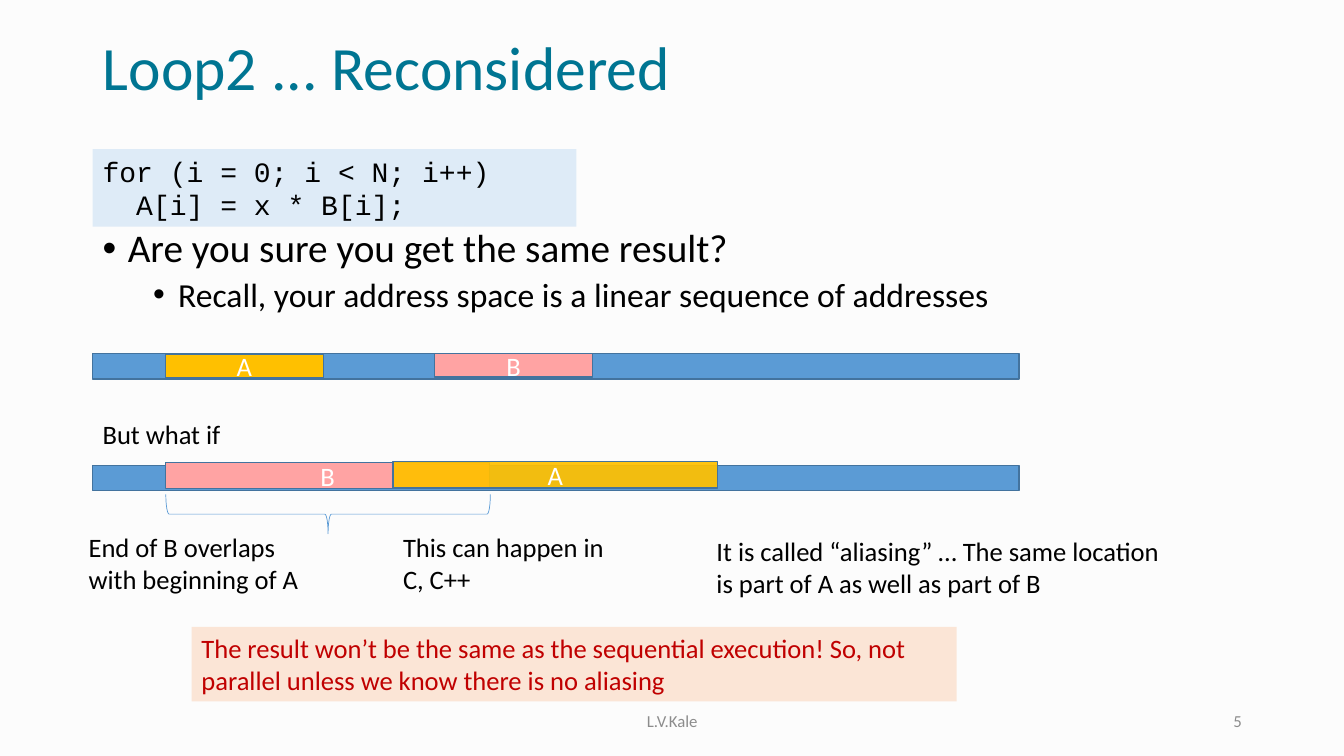
from lxml import etree
from pptx import Presentation
from pptx.dml.color import RGBColor
from pptx.enum.shapes import MSO_SHAPE
from pptx.enum.text import MSO_ANCHOR, MSO_AUTO_SIZE, PP_ALIGN
from pptx.oxml.ns import qn
from pptx.util import Pt

RECTANGLE, LEFT_BRACE = MSO_SHAPE.RECTANGLE, MSO_SHAPE.LEFT_BRACE
TOP, MIDDLE = MSO_ANCHOR.TOP, MSO_ANCHOR.MIDDLE
LEFT, CENTER, RIGHT = PP_ALIGN.LEFT, PP_ALIGN.CENTER, PP_ALIGN.RIGHT
NO_AUTOFIT = MSO_AUTO_SIZE.NONE

BACKGROUND = RGBColor(0xFC, 0xFC, 0xFC)
TEAL = RGBColor(0x00, 0x75, 0x92)
BLACK = RGBColor(0x00, 0x00, 0x00)
WHITE = RGBColor(0xFF, 0xFF, 0xFF)
GRAY = RGBColor(0x8C, 0x8C, 0x8C)
RED = RGBColor(0xC0, 0x00, 0x00)
PALE_BLUE = RGBColor(0xDE, 0xEB, 0xF7)
PALE_ORANGE = RGBColor(0xFB, 0xE5, 0xD6)
BLUE = RGBColor(0x5B, 0x9B, 0xD5)
DARK_BLUE = RGBColor(0x43, 0x73, 0x9E)
AMBER = RGBColor(0xFF, 0xC0, 0x00)
PINK = RGBColor(0xFF, 0xA3, 0xA3)

MARGIN = 66.24
MEMORY_WIDTH, MEMORY_HEIGHT = 661.7, 18
FIRST_ARRAY = 118.1


def points(*lengths):
    return [Pt(length) for length in lengths]


def write(shape, text, size, color, font="Calibri", align=LEFT, anchor=TOP):
    frame = shape.text_frame
    frame.text = text
    frame.word_wrap = True
    frame.auto_size = NO_AUTOFIT
    frame.vertical_anchor = anchor
    for para in frame.paragraphs:
        para.alignment = align
        for span in para.runs:
            span.font.size = Pt(size)
            span.font.name = font
            span.font.color.rgb = color


def add_title(page, text):
    title = page.shapes.title
    title.left, title.top, title.width, title.height = points(MARGIN, 20.2, 828, 60.5)
    write(title, text, 44, TEAL, anchor=MIDDLE)
    title.text_frame.paragraphs[0].line_spacing = 0.9


def add_label(page, area, text, size=19, color=BLACK, **style):
    box = page.shapes.add_textbox(*points(*area))
    write(box, text, size, color, **style)
    return box


def add_panel(page, area, text, fill, **style):
    box = add_label(page, area, text, **style)
    box.fill.solid()
    box.fill.fore_color.rgb = fill


def add_bullets(page, area, items):
    box = add_label(page, area, "\n".join(text for text, _, _ in items))
    for level, (para, (_, size, before)) in enumerate(zip(box.text_frame.paragraphs, items)):
        para.level = level
        para.line_spacing = 0.9
        para.space_before = Pt(before)
        para.runs[0].font.size = Pt(size)
        properties = para._p.get_or_add_pPr()
        properties.set("marL", str(Pt(18 + 36 * level)))
        properties.set("indent", str(Pt(-18)))
        etree.SubElement(properties, qn("a:buFont")).set("typeface", "Arial")
        etree.SubElement(properties, qn("a:buChar")).set("char", "•")


def add_bar(page, left, top, width, height, fill):
    bar = page.shapes.add_shape(RECTANGLE, *points(left, top, width, height))
    bar.shadow.inherit = False
    bar.fill.solid()
    bar.fill.fore_color.rgb = fill
    bar.line.color.rgb = DARK_BLUE
    bar.line.width = Pt(1)
    return bar


def add_memory(page, top):
    add_bar(page, MARGIN, top, MEMORY_WIDTH, MEMORY_HEIGHT, BLUE)


def add_array(page, name, left, top, width, height, fill, opacity=100):
    bar = add_bar(page, left, top, width, height, fill)
    write(bar, name, 19, WHITE, align=CENTER, anchor=MIDDLE)
    if opacity < 100:
        color = bar.fill._xPr.find(qn("a:solidFill"))[0]
        etree.SubElement(color, qn("a:alpha")).set("val", str(opacity * 1000))


def add_brace(page, left, top, width, height):
    brace = page.shapes.add_shape(LEFT_BRACE, *points(left, top, width, height))
    brace.rotation = 270
    brace.shadow.inherit = False
    brace.fill.background()
    brace.line.color.rgb = BLUE
    brace.line.width = Pt(0.5)


def main():
    deck = Presentation()
    deck.slide_width, deck.slide_height = points(960, 540)
    page = deck.slides.add_slide(deck.slide_layouts[5])
    page.background.fill.solid()
    page.background.fill.fore_color.rgb = BACKGROUND

    add_title(page, "Loop2 ... Reconsidered")
    add_bullets(page, (MARGIN, 159.8, 828, 77.8), [
        ("Are you sure you get the same result?", 28, 0),
        ("Recall, your address space is a linear sequence of addresses", 24, 5),
    ])
    add_panel(page, (MARGIN, 106.6, 345.6, 55.4),
              "for (i = 0; i < N; i++)\n  A[i] = x * B[i];",
              PALE_BLUE, size=20, font="Courier New")

    add_memory(page, 252.7)
    add_array(page, "A", FIRST_ARRAY, 253.4, 113, 16.6, AMBER)
    add_array(page, "B", 310.3, 252.7, 113, 16.6, PINK)

    add_label(page, (MARGIN, 295.2, 194.4, 30.2), "But what if")
    add_memory(page, 332.6)
    add_array(page, "B", FIRST_ARRAY, 330.5, 231.8, 18.7, PINK)
    add_array(page, "A", 280.8, 329.8, 231.8, 18.7, AMBER, opacity=92)
    add_brace(page, 220.3, 251.3, 28.1, 231.8)

    add_label(page, (56.2, 375.8, 178.6, 53.3), "End of B overlaps with beginning of A")
    add_label(page, (280.8, 375.8, 171.4, 53.3), "This can happen in C, C++")
    add_label(page, (504.7, 378.7, 342.7, 53.3),
              "It is called “aliasing” … The same location is part of A as well as part of B")
    add_panel(page, (136.8, 447.8, 546.5, 53.3),
              "The result won’t be the same as the sequential execution! "
              "So, not parallel unless we know there is no aliasing",
              PALE_ORANGE, color=RED)

    add_label(page, (318.2, 500.4, 324, 28.8), "L.V.Kale", 12, GRAY, align=CENTER, anchor=MIDDLE)
    add_label(page, (678.2, 500.4, 216, 28.8), "5", 12, GRAY, align=RIGHT, anchor=MIDDLE)
    deck.save("out.pptx")


if __name__ == "__main__":
    main()
